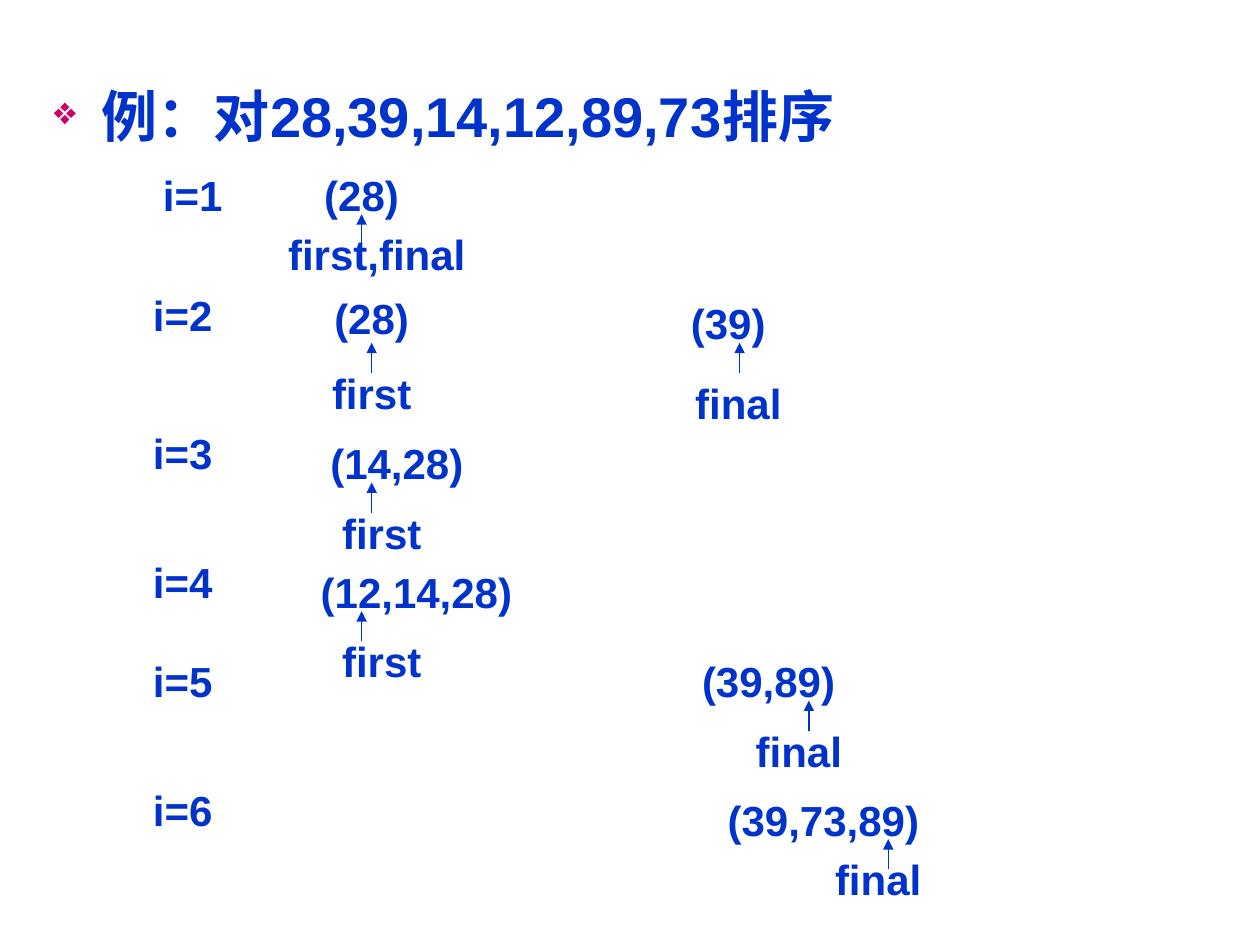
from dataclasses import dataclass

from lxml import etree
from pptx import Presentation
from pptx.dml.color import RGBColor
from pptx.enum.shapes import MSO_CONNECTOR
from pptx.enum.text import MSO_ANCHOR, PP_ALIGN
from pptx.oxml.ns import qn
from pptx.util import Inches, Pt

STRAIGHT = MSO_CONNECTOR.STRAIGHT
MIDDLE, TOP = MSO_ANCHOR.MIDDLE, MSO_ANCHOR.TOP
CENTER, LEFT = PP_ALIGN.CENTER, PP_ALIGN.LEFT


@dataclass(frozen=True)
class Theme:
    ink: str = "0033CC"
    bullet: str = "CC0066"
    font: str = "Arial"
    title_size: int = 32
    label_size: int = 24
    line_width: float = 0.75


THEME = Theme()
WIDTH, HEIGHT = 0.94, 0.47
ARROW_DROP, ARROW_LENGTH = 0.39, 0.24
TITLE_FRAME = {"word_wrap": True, "vertical_anchor": TOP}
LABEL_FRAME = {
    "word_wrap": False,
    "vertical_anchor": MIDDLE,
    "margin_left": 0,
    "margin_right": 0,
}

STEPS = [
    ("i=1", (1.06, 1.31, WIDTH, HEIGHT)),
    ("i=2", (0.98, 2.18, WIDTH, 0.63)),
    ("i=3", (0.98, 3.36, WIDTH, HEIGHT)),
    ("i=4", (0.98, 4.38, WIDTH, HEIGHT)),
    ("i=5", (0.98, 5.17, WIDTH, HEIGHT)),
    ("i=6", (0.98, 6.19, WIDTH, HEIGHT)),
]

SORTED_RUNS = [
    ("(28)", (2.4, 1.31, WIDTH, HEIGHT), "first,final", (2.24, 1.78, 1.5, HEIGHT), 2.87),
    ("(28)", (2.48, 2.33, WIDTH, 0.39), "first", (2.48, 2.88, WIDTH, HEIGHT), 2.95),
    ("(39)", (5.31, 2.33, WIDTH, HEIGHT), "final", (5.39, 2.96, WIDTH, HEIGHT), 5.87),
    ("(14,28)", (2.56, 3.44, 1.18, HEIGHT), "first", (2.56, 3.99, WIDTH, HEIGHT), 2.95),
    ("(12,14,28)", (2.48, 4.46, 1.65, HEIGHT), "first", (2.56, 5.01, WIDTH, HEIGHT), 2.87),
    ("(39,89)", (5.47, 5.17, 1.26, HEIGHT), "final", (5.87, 5.72, WIDTH, HEIGHT), 6.42),
    ("(39,73,89)", (5.63, 6.27, 1.81, HEIGHT), "final", (6.5, 6.74, WIDTH, HEIGHT), 7.05),
]


def apply_format(target, values):
    for name, value in values.items():
        setattr(target, name, value)


def add_text(page, box, text, size, align, frame_format):
    frame = page.shapes.add_textbox(*map(Inches, box)).text_frame
    apply_format(frame, frame_format)
    para = frame.paragraphs[0]
    para.alignment = align
    span = para.add_run()
    span.text = text
    apply_format(span.font, {"name": THEME.font, "size": Pt(size), "bold": True})
    span.font.color.rgb = RGBColor.from_string(THEME.ink)
    return para


def add_label(page, box, text):
    add_text(page, box, text, THEME.label_size, CENTER, LABEL_FRAME)


def add_title(page, box, text):
    para = add_text(page, box, text, THEME.title_size, LEFT, TITLE_FRAME)
    para.space_before = Pt(8)
    properties = para._p.get_or_add_pPr()
    properties.set("marL", str(Inches(0.38)))
    properties.set("indent", str(Inches(-0.38)))
    color = etree.SubElement(properties, qn("a:buClr"))
    etree.SubElement(color, qn("a:srgbClr"), val=THEME.bullet)
    etree.SubElement(properties, qn("a:buSzPct"), val="70000")
    etree.SubElement(properties, qn("a:buChar"), char="❖")


def add_arrow(page, x, top):
    arrow = page.shapes.add_connector(
        STRAIGHT, Inches(x), Inches(top + ARROW_LENGTH), Inches(x), Inches(top)
    )
    arrow.line.width = Pt(THEME.line_width)
    arrow.line.color.rgb = RGBColor.from_string(THEME.ink)
    etree.SubElement(arrow.line._get_or_add_ln(), qn("a:tailEnd"), type="triangle")
    etree.SubElement(arrow._element.spPr, qn("a:effectLst"))


def add_sorted_run(page, numbers, numbers_box, pointer, pointer_box, arrow_x):
    add_label(page, numbers_box, numbers)
    add_label(page, pointer_box, pointer)
    add_arrow(page, arrow_x, numbers_box[1] + ARROW_DROP)


def main():
    deck = Presentation()
    apply_format(deck, {"slide_width": Inches(10), "slide_height": Inches(7.5)})
    page = deck.slides.add_slide(deck.slide_layouts[6])
    add_title(page, (0.33, 0.6, 9.34, 6.69), "例：对28,39,14,12,89,73排序")
    for text, box in STEPS:
        add_label(page, box, text)
    for sorted_run in SORTED_RUNS:
        add_sorted_run(page, *sorted_run)
    deck.save("out.pptx")


if __name__ == "__main__":
    main()
